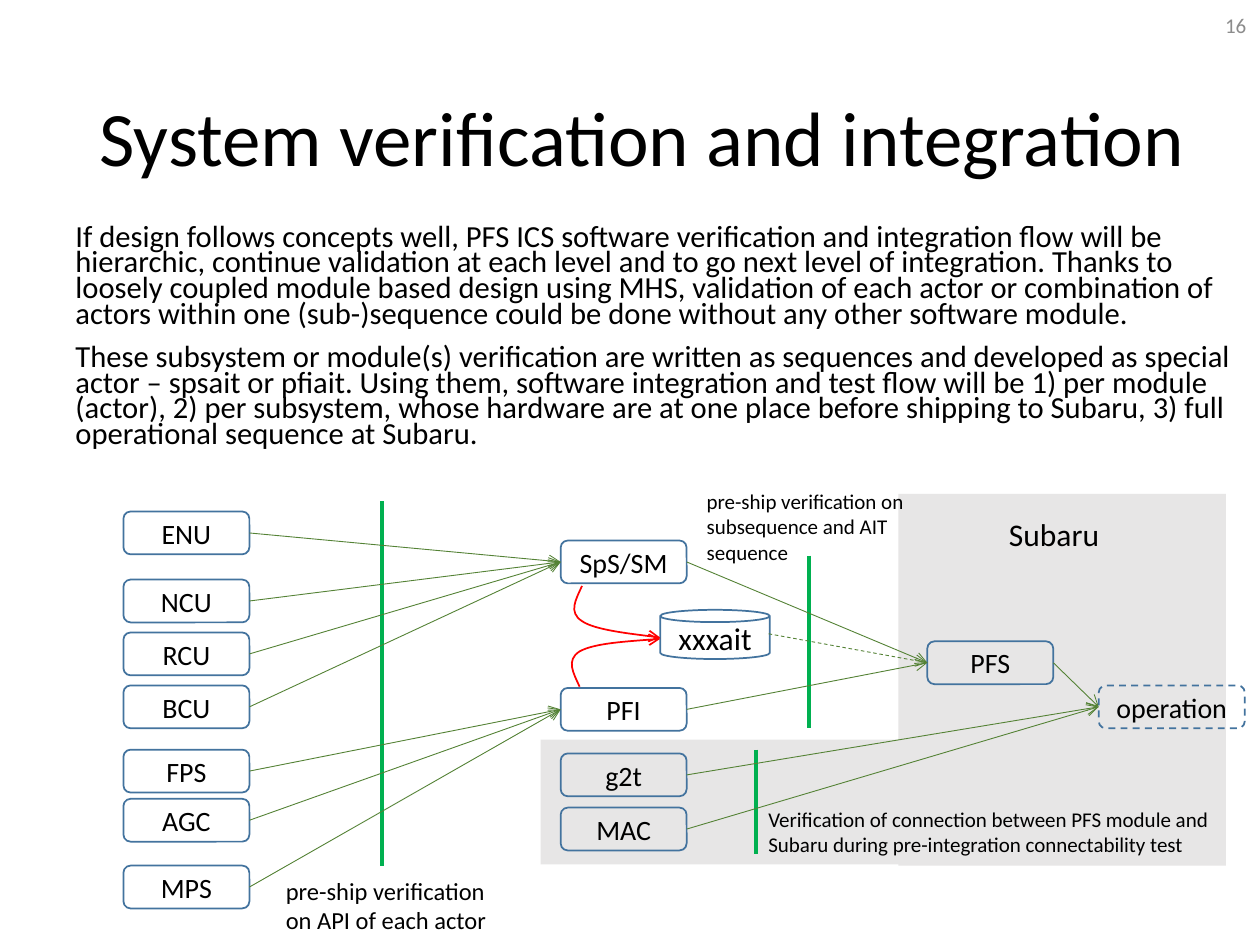
from lxml import etree
from pptx import Presentation
from pptx import util as u
from pptx.dml.color import RGBColor
from pptx.enum import dml, shapes, text
from pptx.oxml import ns

Inches = u.Inches
COLORS = {"text": "000000", "number": "8C8C8C", "area": "E7E6E6", "box": "43739E",
          "flow": "548235", "gate": "00B050", "loop": "FF0000"}
FONT = "Calibri"
BOX_WIDTH, BOX_HEIGHT = 1, 0.34

BODY = [
    "If design follows concepts well, PFS ICS software verification and integration flow will be "
    "hierarchic, continue validation at each level and to go next level of integration. Thanks to "
    "loosely coupled module based design using MHS, validation of each actor or combination of "
    "actors within one (sub-)sequence could be done without any other software module.",
    "These subsystem or module(s) verification are written as sequences and developed as special "
    "actor – spsait or pfiait. Using them, software integration and test flow will be 1) per module "
    "(actor), 2) per subsystem, whose hardware are at one place before shipping to Subaru, 3) full "
    "operational sequence at Subaru.",
]
AREAS = [(4.29, 5.87, 5.43, 0.99), (7.13, 3.92, 2.6, 2.95)]
MODULES = {
    "ENU": (0.98, 4.06), "NCU": (0.98, 4.6), "RCU": (0.98, 5.02), "BCU": (0.98, 5.44),
    "FPS": (0.98, 5.95), "AGC": (0.98, 6.34), "MPS": (0.98, 6.87),
    "SpS/SM": (4.45, 4.29), "PFI": (4.45, 5.46), "g2t": (4.45, 5.98), "MAC": (4.45, 6.41),
    "PFS": (7.36, 5.09),
}
FLOWS = {
    "SpS/SM": ["ENU", "NCU", "RCU", "BCU"],
    "PFI": ["FPS", "AGC", "MPS"],
    "PFS": ["SpS/SM", "PFI"],
    "operation": ["g2t", "MAC", "PFS"],
}
GATES = [(3.03, 3.98, 6.87), (6.42, 4.41, 5.78), (6, 5.95, 6.78)]
LOOPS = [
    [(4.62, 4.65), (4.57, 4.76), (4.51, 4.86), (4.62, 4.93), (4.72, 5), (5.24, 5.06), (5.24, 5.06)],
    [(4.6, 5.45), (4.55, 5.34), (4.49, 5.24), (4.6, 5.17), (4.71, 5.11), (4.97, 5.09), (5.24, 5.07)],
]
LABELS = [
    ("Subaru", (7.91, 4.04, 0.94, 0.4), 18),
    ("pre-ship verification on API of each actor", (2.17, 6.9, 1.81, 0.57), 14),
    ("pre-ship verification on subsequence and AIT sequence", (5.51, 3.83, 1.81, 0.71), 12),
    ("Verification of connection between PFS module and Subaru during "
     "pre-integration connectability test", (6, 6.35, 3.73, 0.5), 12),
]


def color(name):
    return RGBColor.from_string(COLORS[name])


def set_line(line, name, width, dashed=False):
    line.color.rgb = color(name)
    line.width = u.Pt(width)
    if dashed:
        line.dash_style = dml.MSO_LINE.DASH


def add_arrowhead(line):
    etree.SubElement(line._get_or_add_ln(), ns.qn("a:tailEnd"), type="arrow")


def write(frame, paragraphs, size, align=text.PP_ALIGN.LEFT, anchor=text.MSO_ANCHOR.TOP,
          name="text", spacing=None, gap=None):
    frame.word_wrap = True
    frame.auto_size = text.MSO_AUTO_SIZE.NONE
    frame.vertical_anchor = anchor
    for index, words in enumerate(paragraphs):
        para = frame.add_paragraph() if index else frame.paragraphs[0]
        para.text = words
        para.alignment = align
        para.line_spacing = spacing
        if index and gap:
            para.space_before = u.Pt(gap)
        para.font.name = FONT
        para.font.size = u.Pt(size)
        para.font.color.rgb = color(name)


def add_label(page, paragraphs, place, size, **style):
    box = page.shapes.add_textbox(*map(Inches, place))
    write(box.text_frame, paragraphs, size, **style)


def add_area(page, place):
    area = page.shapes.add_shape(shapes.MSO_SHAPE.RECTANGLE, *map(Inches, place))
    area.shadow.inherit = False
    area.fill.solid()
    area.fill.fore_color.rgb = color("area")
    area.line.fill.background()


def add_box(page, words, place, size=16, kind=shapes.MSO_SHAPE.ROUNDED_RECTANGLE, dashed=False):
    box = page.shapes.add_shape(kind, *map(Inches, place))
    box.shadow.inherit = False
    box.fill.background()
    set_line(box.line, "box", 1, dashed)
    write(box.text_frame, [words], size, text.PP_ALIGN.CENTER, text.MSO_ANCHOR.MIDDLE)
    return box


def add_line(page, name, width, start=(0, 0), end=(0, 0), dashed=False):
    line = page.shapes.add_connector(shapes.MSO_CONNECTOR.STRAIGHT,
                                     *map(Inches, (*start, *end)))
    set_line(line.line, name, width, dashed)
    etree.SubElement(line._element.spPr, ns.qn("a:effectLst"))
    return line


def add_flow(page, source, target):
    flow = add_line(page, "flow", 0.5)
    flow.begin_connect(source, 3)
    flow.end_connect(target, 1)
    add_arrowhead(flow.line)


def add_curve(page, points):
    start, *rest = [tuple(map(Inches, point)) for point in points]
    builder = page.shapes.build_freeform(*start)
    builder.add_line_segments(rest, close=False)
    curve = builder.convert_to_shape()
    route = next(curve._element.iter(ns.qn("a:path")))
    segments = route.findall(ns.qn("a:lnTo"))
    for first in range(0, len(segments), 3):
        bezier = etree.SubElement(route, ns.qn("a:cubicBezTo"))
        for segment in segments[first:first + 3]:
            bezier.append(segment[0])
            route.remove(segment)
    curve.shadow.inherit = False
    curve.fill.background()
    set_line(curve.line, "loop", 1)
    add_arrowhead(curve.line)


def add_title(page, words):
    title = page.shapes.title
    title.left, title.top, title.width, title.height = map(Inches, (0.69, 0.4, 9.19, 1.45))
    write(title.text_frame, [words], 44, anchor=text.MSO_ANCHOR.MIDDLE, spacing=0.9)


def add_diagram(page):
    for place in AREAS:
        add_area(page, place)
    boxes = {name: add_box(page, name, (*corner, BOX_WIDTH, BOX_HEIGHT))
             for name, corner in MODULES.items()}
    boxes["operation"] = add_box(page, "operation", (8.72, 5.44, 1.16, BOX_HEIGHT), dashed=True)
    add_box(page, "xxxait", (5.24, 4.84, 0.87, 0.39), 18, shapes.MSO_SHAPE.CAN)
    for x, top, bottom in GATES:
        add_line(page, "gate", 2, (x, top), (x, bottom))
    for target, sources in FLOWS.items():
        for source in sources:
            add_flow(page, boxes[source], boxes[target])
    check = add_line(page, "flow", 0.5, (6.1, 5.03), (7.36, 5.26), dashed=True)
    check.end_connect(boxes["PFS"], 1)
    add_arrowhead(check.line)
    for points in LOOPS:
        add_curve(page, points)
    for words, place, size in LABELS:
        add_label(page, [words], place, size)


def main():
    deck = Presentation()
    deck.slide_width, deck.slide_height = Inches(10), Inches(7.5)
    page = deck.slides.add_slide(deck.slide_layouts[5])
    add_title(page, "System verification and integration")
    add_label(page, BODY, (0.5, 1.75, 9.38, 2.16), 17.5, spacing=0.7, gap=10)
    add_diagram(page)
    add_label(page, ["16"], (7.74, 0, 2.25, 0.4), 12, align=text.PP_ALIGN.RIGHT,
              anchor=text.MSO_ANCHOR.MIDDLE, name="number")
    deck.save("out.pptx")


if __name__ == "__main__":
    main()
